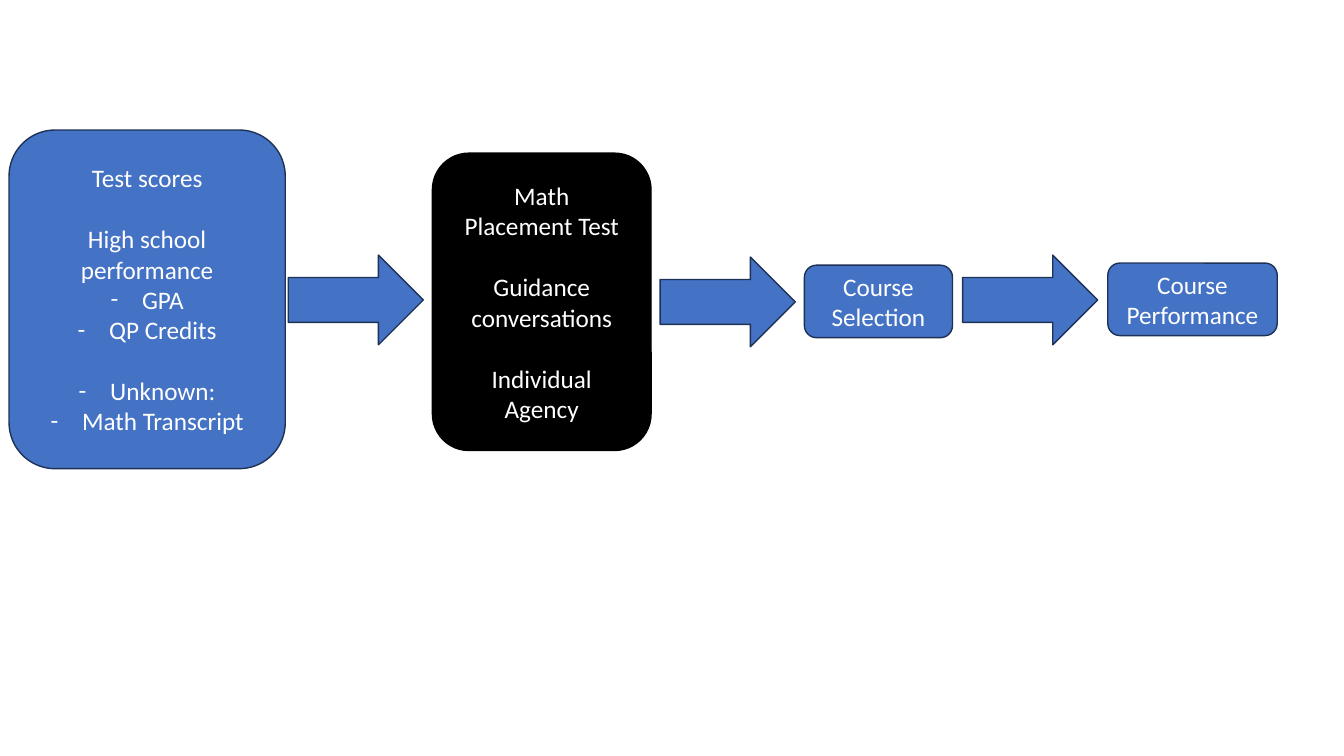
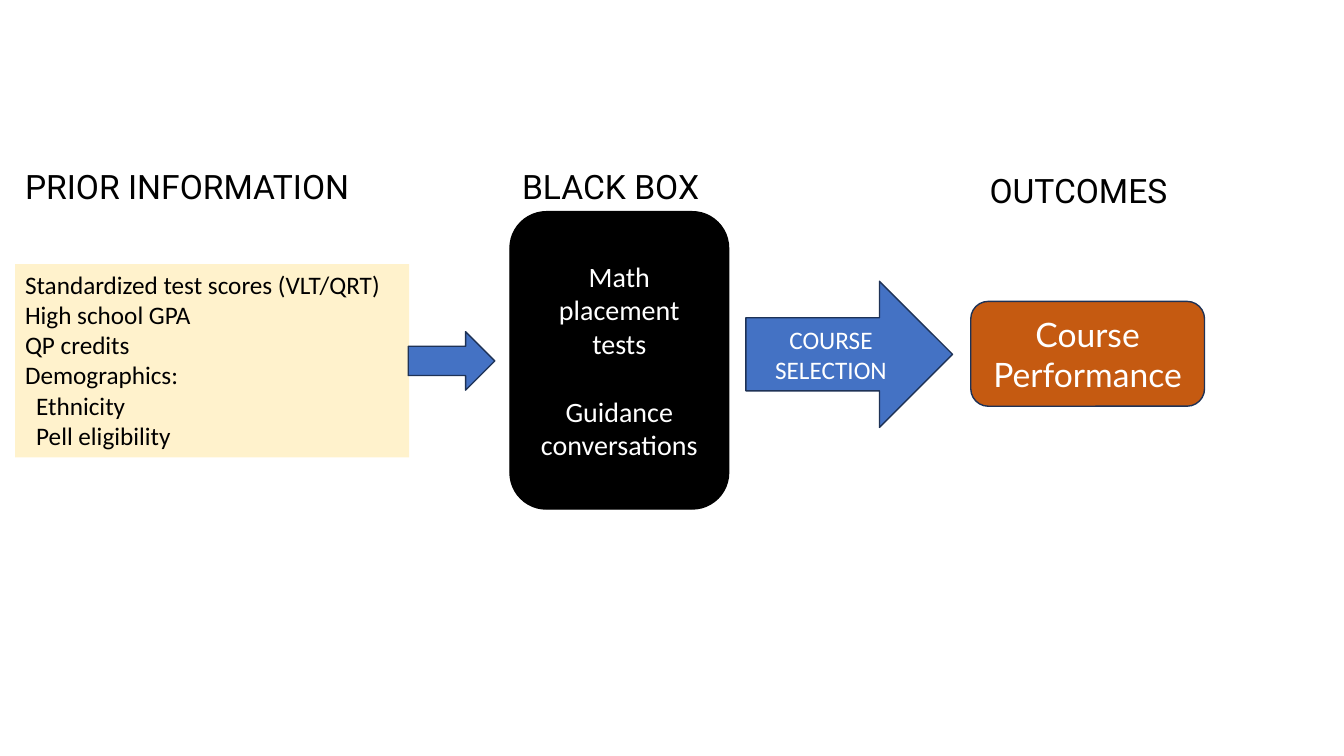
from dataclasses import dataclass
from pptx import Presentation
from pptx.dml.color import RGBColor
from pptx.enum.shapes import MSO_SHAPE
from pptx.enum.text import MSO_ANCHOR, PP_ALIGN
from pptx.oxml.ns import qn
from pptx.util import Pt
from lxml import etree

ROUND, ARROW, RECT = MSO_SHAPE.ROUNDED_RECTANGLE, MSO_SHAPE.RIGHT_ARROW, MSO_SHAPE.RECTANGLE
LEFT, CENTER = PP_ALIGN.LEFT, PP_ALIGN.CENTER
TOP, MIDDLE = MSO_ANCHOR.TOP, MSO_ANCHOR.MIDDLE


@dataclass(frozen=True)
class Theme:
    blue: str = "4472C4"
    edge: str = "1E3256"
    black: str = "000000"
    white: str = "FFFFFF"
    cream: str = "FFF2CC"
    rust: str = "C55A11"
    body: str = "Calibri"
    head: str = "Roboto"
    result: str = "Lato"
    small: int = 18
    mid: int = 20
    big: int = 24
    hang: float = 22.5   # room for a dash
    step: int = 8        # indent of a sub-item


T = Theme()


def write(shape, items, size, font, color, align, anchor):
    """Fill a shape; an item is a text or (text, lines before, indent, dash)."""
    frame = shape.text_frame
    frame.word_wrap = True
    frame.vertical_anchor = anchor
    frame.text = "\n".join(i if isinstance(i, str) else i[0] for i in items)
    for para, item in zip(frame.paragraphs, items):
        gap, indent, dash = (0, 0, False) if isinstance(item, str) else item[1:]
        para.alignment = align
        para.space_before = Pt(gap * size * 1.22)
        props = para._p.get_or_add_pPr()
        if indent:
            props.set("marL", str(Pt(indent)))
        if dash:
            props.set("indent", str(-Pt(indent)))
            etree.SubElement(props, qn("a:buFont")).set("typeface", font)
            etree.SubElement(props, qn("a:buChar")).set("char", "-")
        for run in para.runs:
            run.font.size = Pt(size)
            run.font.name = font
            run.font.color.rgb = RGBColor.from_string(color)


def block(slide, kind, box, fill=T.blue, line=T.edge, items=(), size=T.small,
          font=T.body, color=T.white, align=CENTER, anchor=MIDDLE):
    """Add a filled shape, with an outline and text if given."""
    shape = slide.shapes.add_shape(kind, *map(Pt, box))
    shape.shadow.inherit = False
    shape.fill.solid()
    shape.fill.fore_color.rgb = RGBColor.from_string(fill)
    if line:
        shape.line.color.rgb = RGBColor.from_string(line)
        shape.line.width = Pt(1)
    else:
        shape.line.fill.background()
    if items:
        write(shape, items, size, font, color, align, anchor)


deck = Presentation()
deck.slide_width, deck.slide_height = Pt(960), Pt(540)
blank = deck.slide_layouts[6]

# Slide 1: path from scores to performance
flow = deck.slides.add_slide(blank)
block(flow, ROUND, (6.5, 92.9, 197.3, 241.9), items=[
    "Test scores",
    ("High school performance", 1, 0, False),
    ("GPA", 0, T.hang, True),
    ("QP Credits", 0, T.hang, True),
    ("Unknown:", 1, T.hang, True),
    ("Math Transcript", 0, T.hang, True),
])
block(flow, ROUND, (308.9, 109.4, 156.2, 212.4), T.black, T.black, [
    "Math",
    "Placement Test",
    ("Guidance conversations", 1, 0, False),
    ("Individual Agency", 1, 0, False),
])
for left, top in [(205.9, 182.2), (471.6, 183.6), (687.6, 182.2)]:
    block(flow, ARROW, (left, top, 96.5, 64.1))
for left, top, width, word in [(574.6, 189.4, 105.8, "Selection"),
                               (791.3, 187.9, 121, "Performance")]:
    block(flow, ROUND, (left, top, width, 51.8), items=["Course", word])

# Slide 2: prior information, black box, outcomes
model = deck.slides.add_slide(blank)
for left, top, width, label in [(10.8, 115.2, 269.3, "PRIOR INFORMATION"),
                                (365.8, 115.2, 160.6, "BLACK BOX"),
                                (699.8, 118.1, 160.6, "OUTCOMES")]:
    head = model.shapes.add_textbox(Pt(left), Pt(top), Pt(width), Pt(36))
    write(head, [label], T.big, T.head, T.black, LEFT, TOP)

# Known inputs
block(model, RECT, (10.8, 188.6, 281.5, 138.2), T.cream, None, [
    "Standardized test scores (VLT/QRT)",
    "High school GPA",
    "QP credits",
    "Demographics:",
    ("Ethnicity", 0, T.step, False),
    ("Pell eligibility", 0, T.step, False),
], color=T.black, align=LEFT, anchor=TOP)
block(model, ARROW, (291.6, 236.9, 61.9, 41.8))

# Black box and what follows
block(model, ROUND, (364.3, 151.2, 156.2, 212.4), T.black, T.black, [
    "Math",
    "placement tests",
    ("Guidance conversations", 1, 0, False),
], T.mid)
block(model, ARROW, (532.8, 200.9, 147.6, 104.4), items=["COURSE SELECTION"])
block(model, ROUND, (693.4, 215.3, 167, 74.9), T.rust,
      items=["Course", "Performance"], size=T.big, font=T.result)

deck.save("out.pptx")
